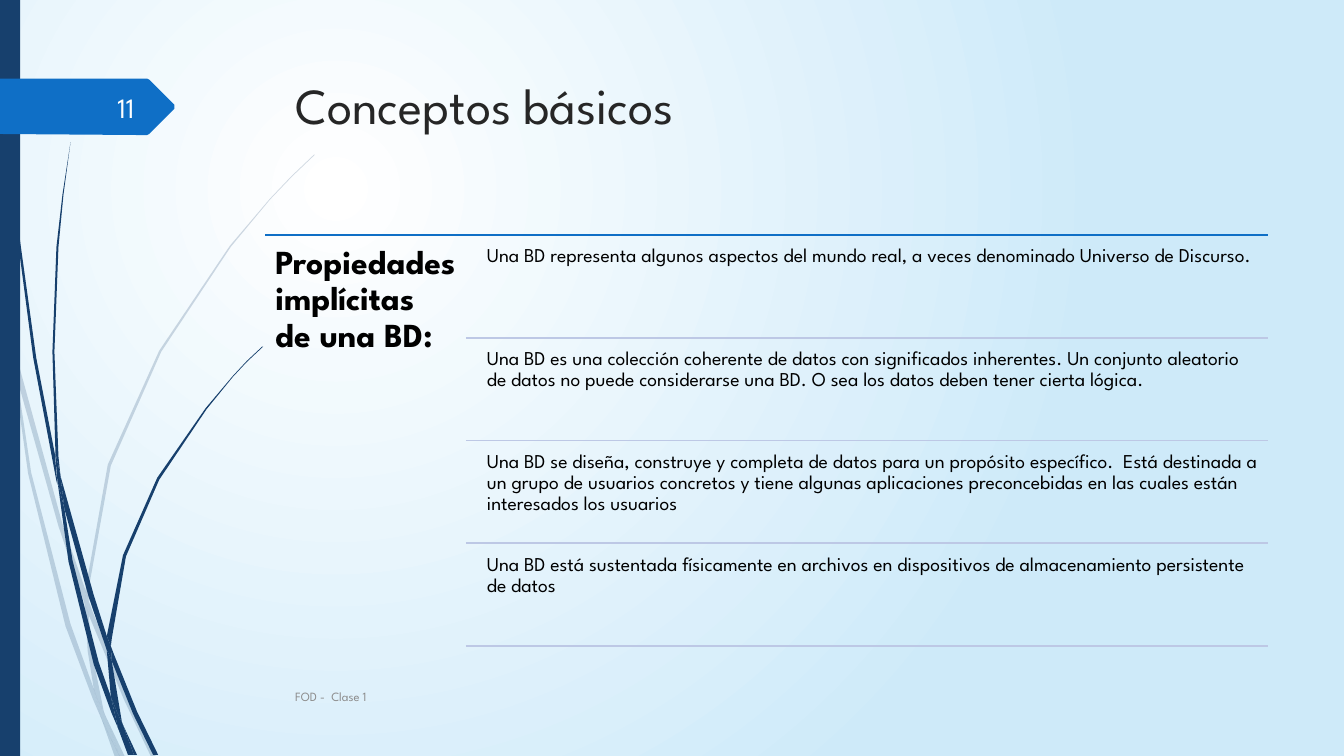
import pptx
import pptx.util
import pptx.dml.color
import pptx.enum.shapes
import pptx.enum.text
import pptx.oxml
import pptx.oxml.ns
import lxml.etree

Cm = pptx.util.Cm
ANCHOR = pptx.enum.text.MSO_ANCHOR
ALIGN = pptx.enum.text.PP_ALIGN
NAVY, BLUE, LAVENDER = "17406D", "0F6FC6", "BDC8E5"


def color(hex_value):
    return pptx.dml.color.RGBColor.from_string(hex_value)


def write_text(shape, text, size, text_color, inset=0.25, inset_top=0.13, anchor=ANCHOR.TOP,
               align=ALIGN.LEFT, spacing=1.0, bold=False):
    frame = shape.text_frame
    frame.text = text
    paragraph = frame.paragraphs[0]
    font = paragraph.runs[0].font
    font.color.rgb = color(text_color)
    formats = [
        (frame, {"word_wrap": True, "auto_size": pptx.enum.text.MSO_AUTO_SIZE.NONE,
                 "vertical_anchor": anchor,
                 "margin_left": Cm(inset), "margin_right": Cm(inset),
                 "margin_top": Cm(inset_top), "margin_bottom": Cm(inset_top)}),
        (paragraph, {"alignment": align, "line_spacing": spacing}),
        (font, {"name": "League Spartan", "size": pptx.util.Pt(size), "bold": bold}),
    ]
    for target, values in formats:
        for name, value in values.items():
            setattr(target, name, value)


presentation = pptx.Presentation()
presentation.slide_width = Cm(33.87)
presentation.slide_height = Cm(19.05)
slide = presentation.slides.add_slide(presentation.slide_layouts[5])
shapes = slide.shapes

# Radial background
fill = slide.background.fill
fill.gradient()
for stop, (position, stop_color) in zip(fill.gradient_stops, [(0, "FFFFFF"), (1, "CEEAF9")]):
    stop.position = position
    stop.color.rgb = color(stop_color)
gradient = slide.element.find(".//" + pptx.oxml.ns.qn("a:gradFill"))
gradient.remove(gradient.find(pptx.oxml.ns.qn("a:lin")))
gradient.append(pptx.oxml.parse_xml(
    f'<a:path {pptx.oxml.ns.nsdecls("a")} path="circle">'
    '<a:fillToRect l="50000" t="50000" r="100000" b="100000"/></a:path>'))

# Grass blades and page marker: outline points "x,y" in units of 0.0254 cm
pale_blades = [
    "11,350 9,322 0,282 0,299 10,344",
    "58,522 84,599 85,586 62,520 14,345 17,376",
    "92,607 88,596 88,610 123,694 150,751 155,751 127,692",
    "119,751 124,751 105,711",
    "93,683 70,619 31,469 17,376 11,350 28,470 65,621 92,693 101,714 99,707",
    "84,599 87,646 93,683 96,692 105,711 103,706 91,646 88,610 88,608",
    "88,584 110,462 160,349 229,245 268,198 290,175 312,154 312,153 289,175 268,197 "
    "228,244 158,348 107,461 85,584 85,586 88,596",
    "101,714 114,751 119,751",
    "88,608 88,610 88,596 85,586 84,599",
    "96,692 93,683 99,707 101,714 119,751 105,711",
]
dark_blades = [
    "7,110 17,233 33,355 56,477 57,481 55,457 55,453 36,355 19,232 8,109 5,48 4,0 3,0 4,48",
    "88,592 106,645 106,633 106,631 93,590 60,472 64,505",
    "113,649 110,641 111,656 132,708 152,749 157,749 136,706",
    "110,691 98,657 72,556 64,505 57,477 68,557 93,659 111,708 117,722 116,717",
    "60,472 58,453 54,349 58,245 63,193 70,141 62,193 56,245 52,349 55,449",
    "133,749 136,749 122,719",
    "57,477 64,505 60,472 55,449 55,453",
    "111,633 125,552 158,476 205,406 231,374 245,359 261,344 260,344 245,358 231,373 "
    "204,405 156,474 122,551 106,631 110,641",
    "117,722 127,749 131,749",
    "106,645 110,691 116,706 122,719 121,716 111,656 109,651",
    "106,645 109,651 111,656 110,641 106,631 106,633",
    "116,706 110,691 116,717 117,722 130,749 133,749 122,719",
]
page_marker = ["173,108 148,133 146,134 136,134 0,133 0,78 136,78 146,78 148,79 173,104"]
for outlines, fill_color, opacity in [
        (pale_blades, NAVY, 20), (dark_blades, NAVY, 100), (page_marker, BLUE, 100)]:
    if outlines is page_marker:
        # Side bar, under the marker
        bar = shapes.add_shape(pptx.enum.shapes.MSO_SHAPE.RECTANGLE, 0, 0, Cm(0.51), Cm(19.05))
        bar.shadow.inherit = False
        bar.fill.solid()
        bar.fill.fore_color.rgb = color(NAVY)
        bar.line.fill.background()
    for outline in outlines:
        points = [tuple(map(int, point.split(","))) for point in outline.split()]
        builder = shapes.build_freeform(*points[0], scale=Cm(0.0254))
        builder.add_line_segments(points[1:], close=True)
        shape = builder.convert_to_shape()
        shape.shadow.inherit = False
        shape.fill.solid()
        shape.fill.fore_color.rgb = color(fill_color)
        shape.line.fill.background()
        if opacity < 100:
            solid = shape.element.spPr.find(pptx.oxml.ns.qn("a:solidFill"))
            lxml.etree.SubElement(solid[0], pptx.oxml.ns.qn("a:alpha"), val=str(opacity * 1000))

# Title
title = shapes.title
title.left, title.top, title.width, title.height = Cm(7.2), Cm(1.73), Cm(24.77), Cm(3.56)
write_text(title, "Conceptos básicos", 36, "262626")

# Heading of the properties
heading = shapes.add_textbox(Cm(6.69), Cm(5.94), Cm(5.06), Cm(10.49))
write_text(heading, "Propiedades implícitas de una BD:", 24, "000000",
           inset_top=0.25, spacing=0.9, bold=True)

# Properties, each closed by a rule
properties = [
    "Una BD representa algunos aspectos del mundo real, a veces denominado Universo de Discurso.",
    "Una BD es una colección coherente de datos con significados inherentes. Un conjunto "
    "aleatorio de datos no puede considerarse una BD. O sea los datos deben tener cierta lógica.",
    "Una BD se diseña, construye y completa de datos para un propósito específico.  Está "
    "destinada a un grupo de usuarios concretos y tiene algunas aplicaciones preconcebidas "
    "en las cuales están interesados los usuarios",
    "Una BD está sustentada físicamente en archivos en dispositivos de almacenamiento "
    "persistente de datos",
]
FIRST_TOP, PITCH, ROW_HEIGHT = 6.05, 2.59, 2.46
rules = [(6.68, 5.93, BLUE)]
for i, text in enumerate(properties):
    top = FIRST_TOP + i * PITCH
    row = shapes.add_textbox(Cm(12.12), Cm(top), Cm(19.84), Cm(ROW_HEIGHT))
    write_text(row, text, 14, "000000", inset=0.15, inset_top=0.15, spacing=0.9)
    rules.append((11.74, top + ROW_HEIGHT, LAVENDER))
for left, top, line_color in rules:
    rule = shapes.add_connector(pptx.enum.shapes.MSO_CONNECTOR.STRAIGHT,
                                Cm(left), Cm(top), Cm(31.96), Cm(top))
    rule.line.color.rgb = color(line_color)
    rule.line.width = pptx.util.Pt(1.25)
    lxml.etree.SubElement(rule.element.spPr, pptx.oxml.ns.qn("a:effectLst"))

# Footer and page number
footer = shapes.add_textbox(Cm(7.19), Cm(17.04), Cm(21.16), Cm(1.02))
write_text(footer, "FOD -  Clase 1", 9, "8C8C8C", anchor=ANCHOR.MIDDLE)
page_number = shapes.add_textbox(Cm(1.48), Cm(2.19), Cm(2.16), Cm(1.02))
write_text(page_number, "11", 20, "FEFFFF", anchor=ANCHOR.MIDDLE, align=ALIGN.RIGHT)

presentation.save("out.pptx")
